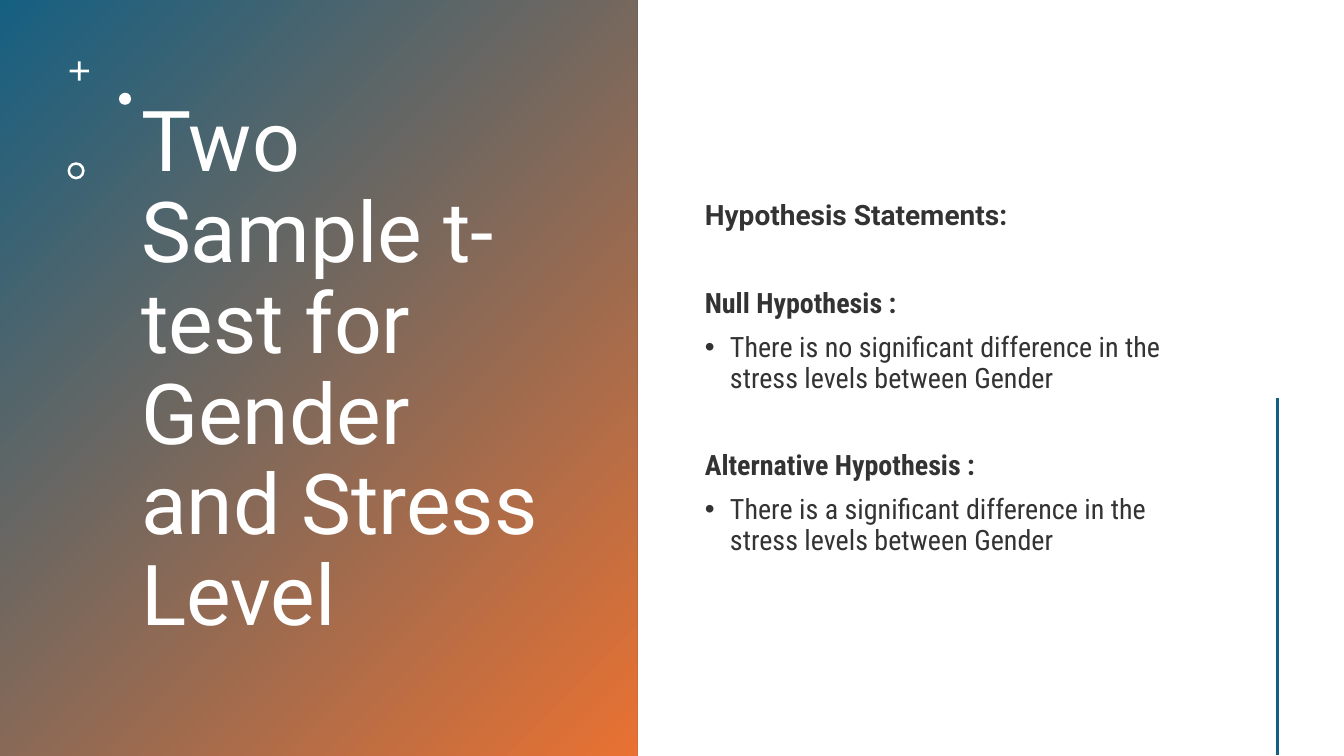
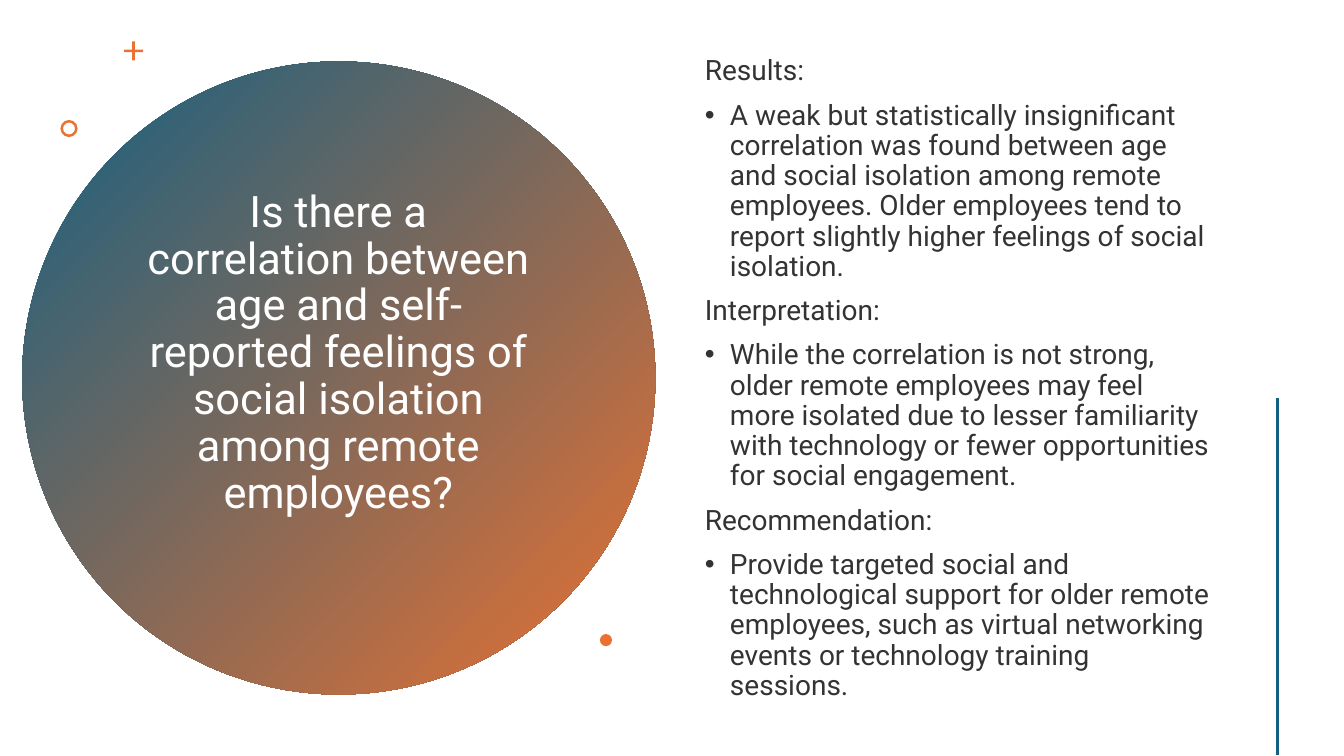
from lxml import etree
from pptx import Presentation
from pptx.dml.color import RGBColor
from pptx.enum.shapes import MSO_CONNECTOR, MSO_SHAPE
from pptx.enum.text import MSO_ANCHOR, MSO_AUTO_SIZE, PP_ALIGN
from pptx.oxml.ns import qn
from pptx.util import Inches, Pt

BLUE, ORANGE, WHITE, TEXT = "156082", "E97132", "FFFFFF", "333333"
ROBOTO, CONDENSED = "Roboto", "Roboto Condensed"
BODY_SIZE, LINE_SPACING = 20, 0.9
PARAGRAPH_GAP, SECTION_GAP = 10, 41
BODY_BOX = (6.89, 0.57, 5.22, 6.38)
BULLET_INDENT = 0.25

# Ornament: preset shape, size in inches, adjustment
ORNAMENTS = {
    "plus": (MSO_SHAPE.CROSS, 0.19, 0.43),
    "dot": (MSO_SHAPE.OVAL, 0.12, None),
    "ring": (MSO_SHAPE.DONUT, 0.17, 0.15),
}

# Body lines: text, bulleted, bold, font, space before in points
SLIDES = [
    {
        "title": "Two Sample t-test for Gender and Stress Level",
        "title_box": (1.3, 0.42, 4.38, 6.53),
        "title_size": 60,
        "title_align": PP_ALIGN.LEFT,
        "panel": (MSO_SHAPE.RECTANGLE, (0, 0, 6.32, 7.5)),
        "ornament_color": WHITE,
        "ornaments": [("plus", 0.69, 0.61), ("dot", 1.18, 0.92), ("ring", 0.67, 1.61)],
        "body": [
            ("Hypothesis Statements:", False, True, ROBOTO, 0),
            ("Null Hypothesis :", False, True, CONDENSED, SECTION_GAP),
            ("There is no significant difference in the stress levels between Gender",
             True, False, CONDENSED, PARAGRAPH_GAP),
            ("Alternative Hypothesis :", False, True, CONDENSED, SECTION_GAP),
            ("There is a significant difference in the stress levels between Gender",
             True, False, CONDENSED, PARAGRAPH_GAP),
        ],
    },
    {
        "title": "Is there a correlation between age and self-reported feelings of "
                 "social isolation among remote employees?",
        "title_box": (1.36, 1.41, 3.99, 4.2),
        "title_size": 31,
        "title_align": PP_ALIGN.CENTER,
        "panel": (MSO_SHAPE.OVAL, (0.22, 0.61, 6.28, 6.28)),
        "ornament_color": ORANGE,
        "ornaments": [("plus", 1.23, 0.41), ("ring", 0.6, 1.19), ("dot", 5.95, 6.29)],
        "body": [
            ("Results:", False, False, ROBOTO, 0),
            ("A weak but statistically insignificant correlation was found between age "
             "and social isolation among remote employees. Older employees tend to "
             "report slightly higher feelings of social isolation.",
             True, False, ROBOTO, PARAGRAPH_GAP),
            ("Interpretation:", False, False, ROBOTO, PARAGRAPH_GAP),
            ("While the correlation is not strong, older remote employees may feel more "
             "isolated due to lesser familiarity with technology or fewer opportunities "
             "for social engagement.", True, False, ROBOTO, PARAGRAPH_GAP),
            ("Recommendation:", False, False, ROBOTO, PARAGRAPH_GAP),
            ("Provide targeted social and technological support for older remote "
             "employees, such as virtual networking events or technology training "
             "sessions.", True, False, ROBOTO, PARAGRAPH_GAP),
        ],
    },
]


def rgb(color):
    return RGBColor.from_string(color)


def place(shape, box):
    shape.left, shape.top, shape.width, shape.height = map(Inches, box)


def prepare_frame(placeholder, box):
    place(placeholder, box)
    frame = placeholder.text_frame
    frame.word_wrap = True
    frame.auto_size = MSO_AUTO_SIZE.NONE
    frame.vertical_anchor = MSO_ANCHOR.MIDDLE
    return frame


def add_run(paragraph, text, size, color, font=ROBOTO, bold=False):
    run = paragraph.add_run()
    run.text = text
    run.font.size, run.font.name, run.font.bold = Pt(size), font, bold
    run.font.color.rgb = rgb(color)


def set_bullet(paragraph, bulleted):
    properties = paragraph._p.get_or_add_pPr()
    indent = Inches(BULLET_INDENT) if bulleted else 0
    properties.set("marL", str(indent))
    properties.set("indent", str(-indent))
    if bulleted:
        etree.SubElement(properties, qn("a:buFont"), typeface="Arial")
        etree.SubElement(properties, qn("a:buChar"), char="•")
    else:
        etree.SubElement(properties, qn("a:buNone"))


def add_shape(slide, preset, box):
    shape = slide.shapes.add_shape(preset, *map(Inches, box))
    shape.shadow.inherit = False
    shape.line.fill.background()
    return shape


def add_panel(slide, preset, box):
    """Add the blue-to-orange panel behind everything else."""
    panel = add_shape(slide, preset, box)
    panel.fill.gradient()
    panel.fill.gradient_angle = 315
    for stop, color in zip(panel.fill.gradient_stops, (BLUE, ORANGE)):
        stop.color.rgb = rgb(color)
    slide.shapes._spTree.insert(2, panel._element)


def add_ornament(slide, kind, left, top, color):
    preset, size, adjustment = ORNAMENTS[kind]
    ornament = add_shape(slide, preset, (left, top, size, size))
    if adjustment is not None:
        ornament.adjustments[0] = adjustment
    ornament.fill.solid()
    ornament.fill.fore_color.rgb = rgb(color)


def add_side_line(slide):
    line = slide.shapes.add_connector(
        MSO_CONNECTOR.STRAIGHT, Inches(12.67), Inches(3.95), Inches(12.67), Inches(7.49))
    line.line.color.rgb = rgb(BLUE)
    line.line.width = Pt(2)
    etree.SubElement(line._element.spPr, qn("a:effectLst"))


def fill_title(slide, content):
    frame = prepare_frame(slide.shapes.title, content["title_box"])
    paragraph = frame.paragraphs[0]
    paragraph.alignment = content["title_align"]
    paragraph.line_spacing = LINE_SPACING
    add_run(paragraph, content["title"], content["title_size"], WHITE)


def fill_body(slide, lines):
    frame = prepare_frame(slide.placeholders[1], BODY_BOX)
    for index, (text, bulleted, bold, font, space) in enumerate(lines):
        paragraph = frame.add_paragraph() if index else frame.paragraphs[0]
        set_bullet(paragraph, bulleted)
        paragraph.line_spacing = LINE_SPACING
        paragraph.space_before = Pt(space)
        add_run(paragraph, text, BODY_SIZE, TEXT, font, bold)


def build_slide(presentation, content):
    slide = presentation.slides.add_slide(presentation.slide_layouts[1])
    add_panel(slide, *content["panel"])
    fill_title(slide, content)
    for kind, left, top in content["ornaments"]:
        add_ornament(slide, kind, left, top, content["ornament_color"])
    fill_body(slide, content["body"])
    add_side_line(slide)


def main():
    presentation = Presentation()
    presentation.slide_width, presentation.slide_height = Inches(13.33), Inches(7.5)
    for content in SLIDES:
        build_slide(presentation, content)
    presentation.save("out.pptx")


if __name__ == "__main__":
    main()
